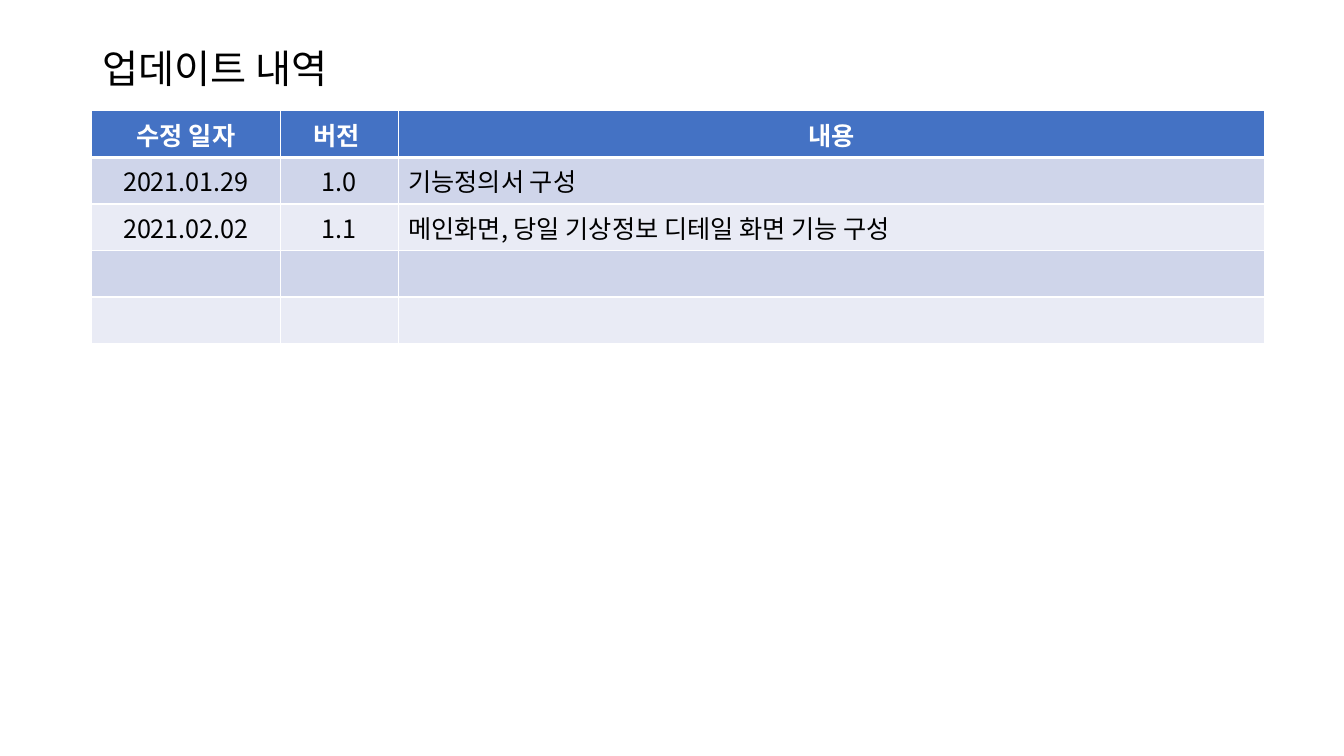
from pptx import Presentation
from pptx.dml.color import RGBColor
from pptx.enum.text import MSO_ANCHOR, PP_ALIGN
from pptx.oxml.ns import qn
from pptx.util import Inches, Pt
from lxml.etree import SubElement

TITLE = "업데이트 내역"
HEADER = ("수정 일자", "버전 ", "내용")
UPDATES = [
    ("2021.01.29", "1.0", "기능정의서 구성"),
    ("2021.02.02", "1.1", "메인화면, 당일 기상정보 디테일 화면 기능 구성"),
    ("", "", ""),
    ("", "", ""),
]
COLUMN_WIDTHS = (1.87, 1.17, 8.59)
COLUMN_ALIGNS = (PP_ALIGN.CENTER, PP_ALIGN.CENTER, PP_ALIGN.LEFT)
ROW_HEIGHT = 0.46
FONT = "Noto Sans CJK KR"
COLORS = {"text": "000000", "header": "4472C4", "white": "FFFFFF",
          "odd": "CFD5EA", "even": "E9EBF5"}


def style_text(paragraph, size, color, align, bold=False):
    """Format a paragraph and its runs, Korean glyphs included."""
    paragraph.alignment = align
    paragraph.font.size = Pt(size)
    for run in paragraph.runs:
        run.font.size = Pt(size)
        run.font.bold = bold
        run.font.name = FONT
        run.font.color.rgb = RGBColor.from_string(color)
        SubElement(run.font._element, qn("a:ea"), typeface=FONT)


def add_borders(cell, bottom_width):
    """Draw white cell borders; they must precede the fill in the XML."""
    properties = cell._tc.get_or_add_tcPr()
    for side in ("L", "R", "T", "B"):
        width = bottom_width if side == "B" else 1
        line = SubElement(properties, qn(f"a:ln{side}"), w=str(Pt(width)))
        fill = SubElement(line, qn("a:solidFill"))
        SubElement(fill, qn("a:srgbClr"), val=COLORS["white"])


def add_title(slide):
    """Place and format the slide title."""
    title = slide.shapes.title
    title.left, title.top = Inches(0.92), Inches(0.4)
    title.width, title.height = Inches(11.5), Inches(0.6)
    title.text_frame.text = TITLE
    title.text_frame.vertical_anchor = MSO_ANCHOR.MIDDLE
    heading = title.text_frame.paragraphs[0]
    heading.line_spacing = 0.9
    style_text(heading, 28, COLORS["text"], PP_ALIGN.LEFT)


def add_history(slide):
    """Build the table of updates with a header and banded rows."""
    rows = [HEADER] + UPDATES
    history = slide.shapes.add_table(
        len(rows), len(HEADER), Inches(0.91), Inches(1.1),
        Inches(sum(COLUMN_WIDTHS)), Inches(ROW_HEIGHT * len(rows))).table
    for column, width in zip(history.columns, COLUMN_WIDTHS):
        column.width = Inches(width)
    for r, entries in enumerate(rows):
        is_header = r == 0
        band = "header" if is_header else ("odd" if r % 2 else "even")
        for c, entry in enumerate(entries):
            cell = history.cell(r, c)
            add_borders(cell, 3 if is_header else 1)
            cell.fill.solid()
            cell.fill.fore_color.rgb = RGBColor.from_string(COLORS[band])
            cell.text_frame.text = entry
            style_text(cell.text_frame.paragraphs[0], 18,
                       COLORS["white" if is_header else "text"],
                       PP_ALIGN.CENTER if is_header else COLUMN_ALIGNS[c],
                       bold=is_header)


presentation = Presentation()
presentation.slide_width, presentation.slide_height = Inches(13.33), Inches(7.5)
update_slide = presentation.slides.add_slide(presentation.slide_layouts[5])
add_title(update_slide)
add_history(update_slide)
presentation.save("out.pptx")
